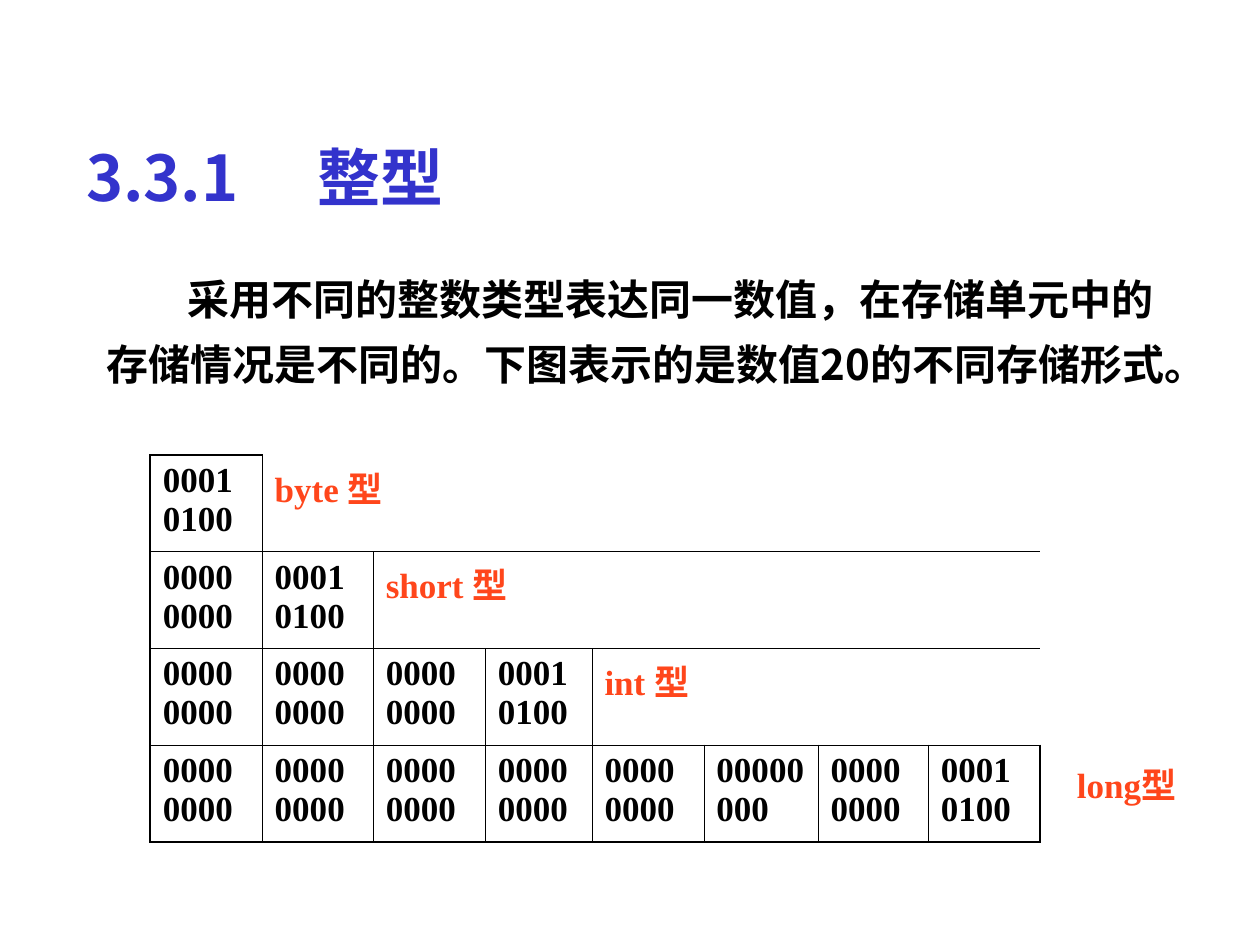
from lxml import etree
from pptx import Presentation
from pptx import util as u
from pptx.dml.color import RGBColor
from pptx.enum import text
from pptx.oxml import ns

COLORS = {"black": "000000", "label": "FF461B", "title": "3333CC"}
SANS, SERIF = "Noto Sans CJK SC", "Times New Roman"
THIN, THICK = 0.45, 1.08
NO_STYLE = "{2D5ABB26-0587-4C30-8999-92F81FD0307C}"
ZERO, TWENTY = "00000000", "00010100"
TYPES = [("byte", 1), ("short", 2), ("int", 4), ("long", 8)]
COLUMN_WIDTHS = [64, 63.5, 64, 61, 64, 65.2, 63, 64]
ROW_HEIGHT = 55.25


def child(parent, tag, **attributes):
    return etree.SubElement(parent, ns.qn(tag), attributes)


class SlideBuilder:
    def __init__(self, deck):
        self.page = deck.slides.add_slide(deck.slide_layouts[5])

    def fill_text(self, frame, words, size, color, font, indent=0, tab=0, **formats):
        frame.word_wrap = True
        para = frame.paragraphs[0]
        formats = {"alignment": text.PP_ALIGN.LEFT, **formats}
        for name, value in formats.items():
            setattr(para, name, value)
        properties = para._p.get_or_add_pPr()
        if indent:
            properties.set("marL", "0")
            properties.set("indent", str(u.Pt(indent)))
        if tab:
            child(child(properties, "a:tabLst"), "a:tab", pos=str(u.Pt(tab)), algn="l")
        span = para.add_run()
        span.text = words
        for name, value in {"size": u.Pt(size), "bold": True, "name": font}.items():
            setattr(span.font, name, value)
        span.font.color.rgb = RGBColor.from_string(COLORS[color])
        child(span._r.get_or_add_rPr(), "a:ea", typeface=SANS)

    def title(self, words, left, top, width, height, tab):
        box = self.page.shapes.title
        place = {"left": left, "top": top, "width": width, "height": height}
        for name, value in place.items():
            setattr(box, name, u.Pt(value))
        box.text_frame.vertical_anchor = text.MSO_ANCHOR.BOTTOM
        box.text_frame.auto_size = text.MSO_AUTO_SIZE.NONE
        self.fill_text(box.text_frame, words, 36, "title", SANS, tab=tab)

    def textbox(self, words, left, top, width, height, **style):
        box = self.page.shapes.add_textbox(*map(u.Pt, (left, top, width, height)))
        self.fill_text(box.text_frame, words, **style)

    def cell(self, cell, words, color, borders):
        self.fill_text(cell.text_frame, words, 20, color, SERIF, space_before=u.Pt(5))
        properties = cell._tc.get_or_add_tcPr()
        for side, width in borders.items():
            line = child(properties, "a:ln" + side, w=str(u.Pt(width)))
            child(child(line, "a:solidFill"), "a:srgbClr", val=COLORS["black"])
        cell.fill.background()

    def byte_table(self, left, top):
        rows, columns = len(TYPES), len(COLUMN_WIDTHS)
        size = sum(COLUMN_WIDTHS), rows * ROW_HEIGHT
        frame = self.page.shapes.add_table(rows, columns, *map(u.Pt, (left, top, *size)))
        table = frame.table
        table.first_row = table.horz_banding = False
        table._tbl.tblPr.find(ns.qn("a:tableStyleId")).text = NO_STYLE
        for column, width in zip(table.columns, COLUMN_WIDTHS):
            column.width = u.Pt(width)
        for r, (name, count) in enumerate(TYPES):
            table.rows[r].height = u.Pt(ROW_HEIGHT)
            for c in range(count):
                borders = {
                    "L": THICK if c == 0 else THIN,
                    "R": THICK if c == columns - 1 else THIN,
                    "T": THICK if r == 0 else THIN,
                    "B": THICK if r == rows - 1 else THIN,
                }
                words = TWENTY if c == count - 1 else ZERO
                self.cell(table.cell(r, c), words, "black", borders)
            if count < columns:
                label = table.cell(r, count)
                label.merge(table.cell(r, columns - 1))
                self.cell(label, f"{name} 型", "label", {"L": THIN, "B": THIN})


def main():
    deck = Presentation()
    deck.slide_width, deck.slide_height = u.Pt(720), u.Pt(540)
    builder = SlideBuilder(deck)
    builder.title("3.3.1\t整型", 42, 75.6, 612, 50.4, tab=132)
    builder.textbox(
        "采用不同的整数类型表达同一数值，在存储单元中的存储情况是不同的。"
        "下图表示的是数值20的不同存储形式。",
        54, 144, 635.8, 82, size=24, color="black", font=SANS, indent=46, line_spacing=1.3,
    )
    builder.byte_table(85.8, 260)
    builder.textbox("long型", 598.3, 432.7, 84.2, 55.4,
                    size=20, color="label", font=SERIF, indent=10)
    deck.save("out.pptx")


if __name__ == "__main__":
    main()
